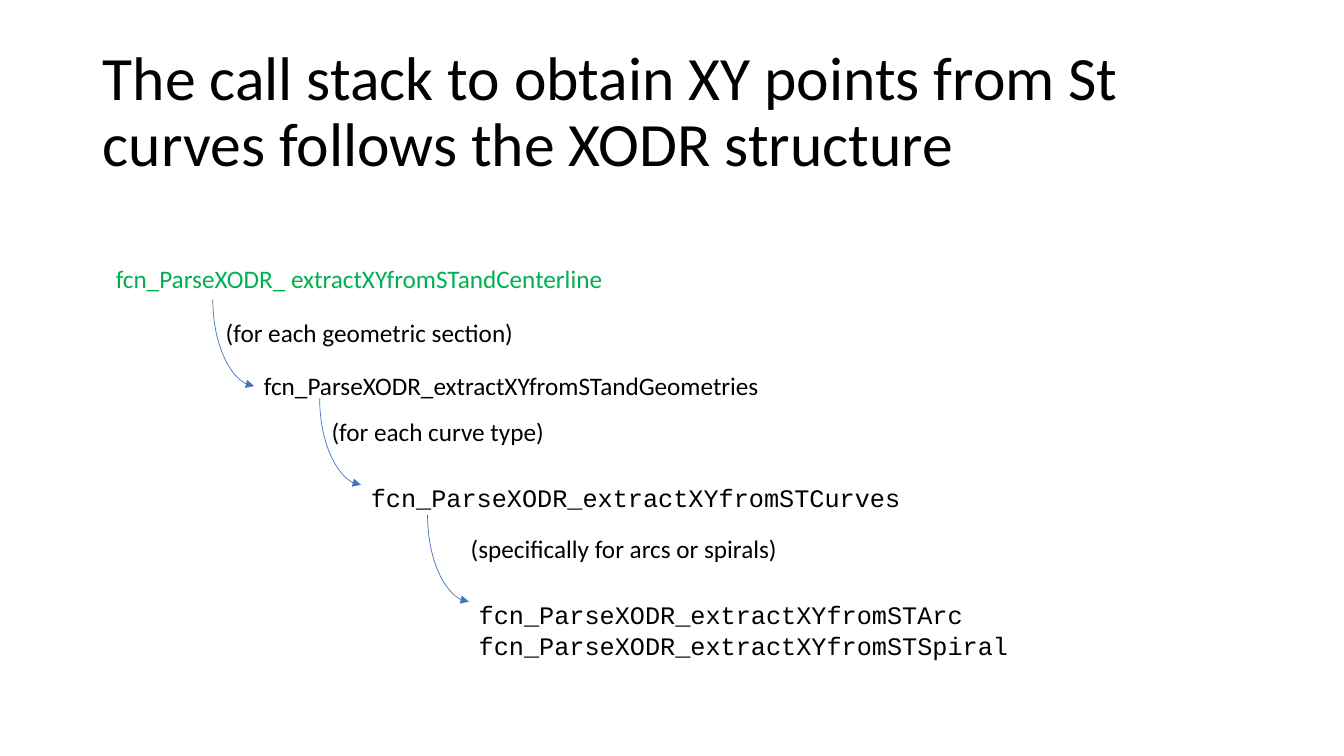
from dataclasses import dataclass

from lxml.etree import SubElement
from pptx import Presentation
from pptx.dml.color import RGBColor
from pptx.enum.shapes import MSO_CONNECTOR as Connector
from pptx.enum.text import MSO_ANCHOR as Anchor, MSO_AUTO_SIZE as AutoSize, PP_ALIGN as Align
from pptx.oxml.ns import qn
from pptx.util import Inches, Pt


@dataclass(frozen=True)
class Theme:
    ink: RGBColor = RGBColor.from_string("000000")
    entry: RGBColor = RGBColor.from_string("00B050")
    arrow: RGBColor = RGBColor.from_string("4472C4")
    sans: str = "Calibri"
    mono: str = "Courier New"
    title_size: Pt = Pt(44)
    body_size: Pt = Pt(18)
    arrow_width: Pt = Pt(0.5)


THEME = Theme()
ARROW_RUN, ARROW_DROP = 0.41, 0.86
LINE_HEIGHT = 0.4

CALLS = [
    (0, 0, LINE_HEIGHT, THEME.sans, THEME.entry, ["fcn_ParseXODR_ extractXYfromSTandCenterline"]),
    (1.47, 1.06, LINE_HEIGHT, THEME.sans, THEME.ink, ["fcn_ParseXODR_extractXYfromSTandGeometries"]),
    (2.53, 2.18, LINE_HEIGHT, THEME.mono, THEME.ink, ["fcn_ParseXODR_extractXYfromSTCurves"]),
    (3.6, 3.34, 1.01, THEME.mono, THEME.ink,
     ["fcn_ParseXODR_extractXYfromSTArc", "fcn_ParseXODR_extractXYfromSTSpiral"]),
]
STEPS = [
    (1.06, 0.41, 0.03, 3.09, "(for each geometric section)"),
    (2.12, 1.39, 0.02, 2.34, "(for each curve type)"),
    (3.19, 2.55, 0.33, 3.27, "(specifically for arcs or spirals)"),
]


def style_text(frame, font, size, color):
    for para in frame.paragraphs:
        for span in para.runs:
            span.font.name = font
            span.font.size = size
            span.font.color.rgb = color


def add_title(page, left, top, width, height):
    title = page.shapes.title
    title.left, title.top = Inches(left), Inches(top)
    title.width, title.height = Inches(width), Inches(height)
    frame = title.text_frame
    frame.text = "The call stack to obtain XY points from St curves follows the XODR structure"
    frame.vertical_anchor = Anchor.MIDDLE
    frame.auto_size = AutoSize.NONE
    para = frame.paragraphs[0]
    para.alignment = Align.LEFT
    para.line_spacing = 0.9
    style_text(frame, THEME.sans, THEME.title_size, THEME.ink)


def add_text(page, left, top, width, height, lines, font, color, wrap):
    box = page.shapes.add_textbox(Inches(left), Inches(top), Inches(width), Inches(height))
    frame = box.text_frame
    frame.text = "\n".join(lines)
    frame.word_wrap = wrap
    frame.auto_size = AutoSize.SHAPE_TO_FIT_TEXT
    style_text(frame, font, THEME.body_size, color)


def add_call_arrow(page, left, top):
    frame_left = left + (ARROW_RUN - ARROW_DROP) / 2
    frame_top = top + (ARROW_DROP - ARROW_RUN) / 2
    arrow = page.shapes.add_connector(
        Connector.CURVE, Inches(frame_left), Inches(frame_top),
        Inches(frame_left + ARROW_DROP), Inches(frame_top + ARROW_RUN))
    arrow.line.color.rgb = THEME.arrow
    arrow.line.width = THEME.arrow_width
    properties = arrow._element.spPr
    transform = properties.find(qn("a:xfrm"))
    transform.set("rot", str(270 * 60000))
    transform.set("flipH", "1")
    properties.find(qn("a:prstGeom")).set("prst", "curvedConnector2")
    SubElement(properties.find(qn("a:ln")), qn("a:tailEnd"), type="triangle")
    SubElement(properties, qn("a:effectLst"))


def add_call_stack(page, left, top, call_width):
    for across, down, height, font, color, lines in CALLS:
        add_text(page, left + across, top + down, call_width, height, lines, font, color, True)
    for across, down, note_gap, note_width, note in STEPS:
        add_call_arrow(page, left + across, top + down)
        add_text(page, left + across + note_gap, top + down + 0.13, note_width, LINE_HEIGHT,
                 [note], THEME.sans, THEME.ink, False)


def main():
    deck = Presentation()
    deck.slide_width, deck.slide_height = Inches(13.33), Inches(7.5)
    page = deck.slides.add_slide(deck.slide_layouts[5])
    add_title(page, 0.92, 0.4, 11.5, 1.45)
    add_call_stack(page, 1.05, 2.56, 6.67)
    deck.save("out.pptx")


if __name__ == "__main__":
    main()
